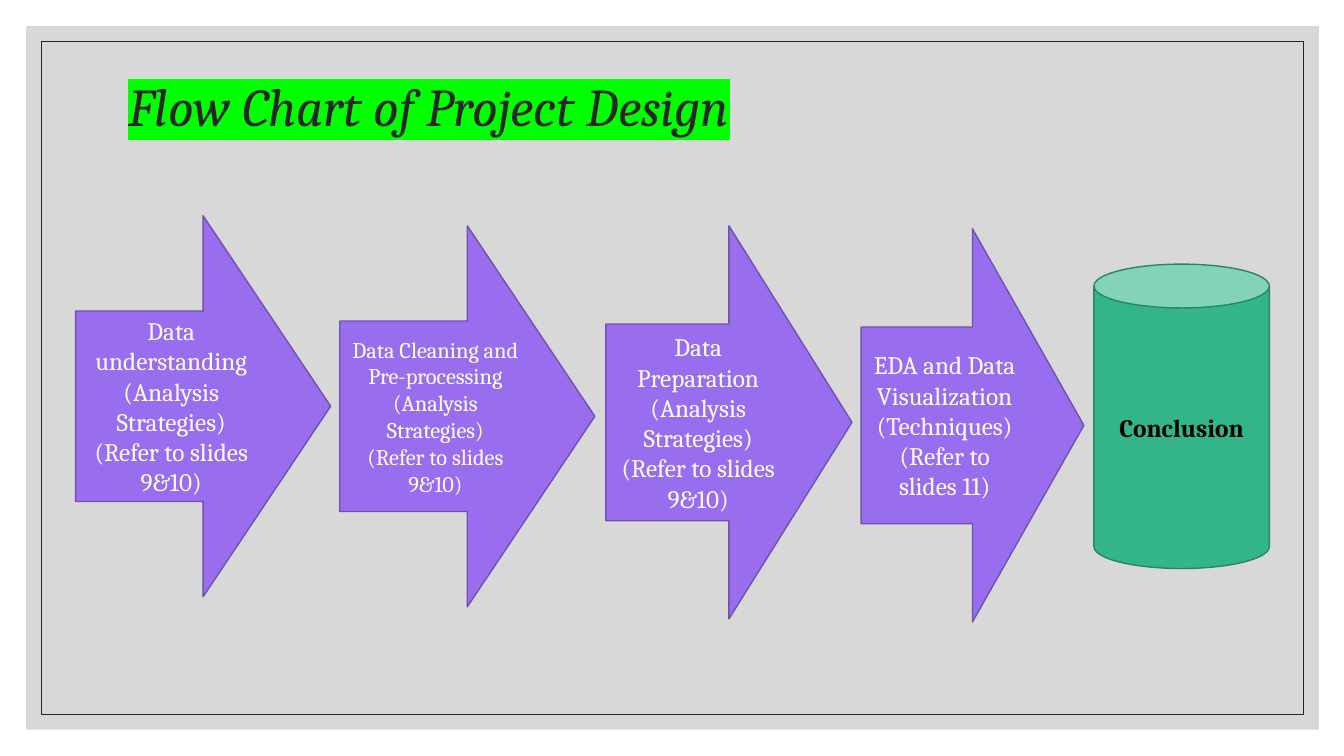
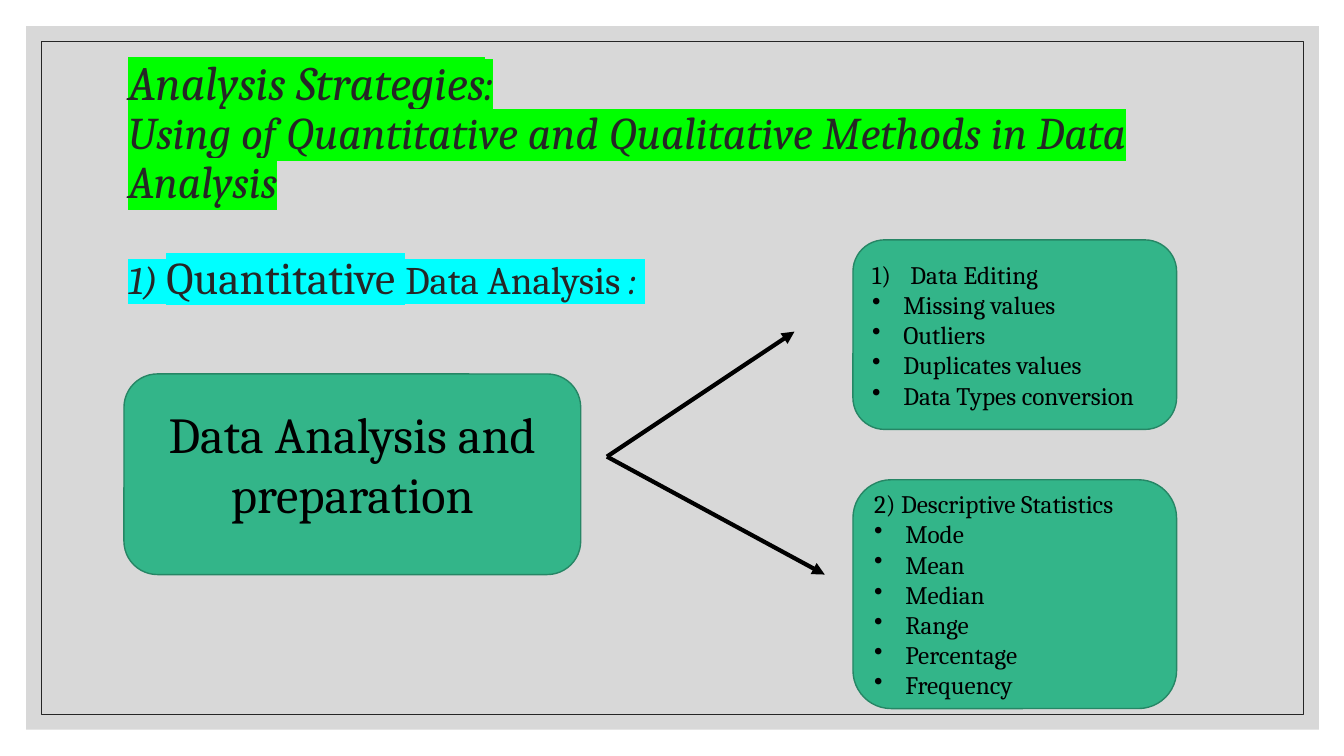
from lxml import etree
from pptx import Presentation
from pptx.dml.color import RGBColor
from pptx.enum.shapes import MSO_CONNECTOR, MSO_SHAPE
from pptx.enum.text import MSO_ANCHOR, MSO_AUTO_SIZE, PP_ALIGN
from pptx.oxml.ns import qn
from pptx.util import Inches, Pt

RECTANGLE = MSO_SHAPE.RECTANGLE
ROUNDED = MSO_SHAPE.ROUNDED_RECTANGLE
ARROW = MSO_SHAPE.RIGHT_ARROW
CAN = MSO_SHAPE.CAN
STRAIGHT = MSO_CONNECTOR.STRAIGHT
MIDDLE = MSO_ANCHOR.MIDDLE
LEFT, CENTER = PP_ALIGN.LEFT, PP_ALIGN.CENTER

FONT = "Cambria"
COLORS = {
    "panel": "BFBFBF",
    "ink": "262626",
    "purple": "986EEE",
    "purple_edge": "7051B0",
    "green": "33B589",
    "green_edge": "268665",
    "black": "000000",
    "white": "FFFFFF",
    "lime": "00FF00",
    "cyan": "00FFFF",
}
RGB = {name: RGBColor.from_string(value) for name, value in COLORS.items()}
BULLET = ("buChar", "char", "•", 0.31)
NUMBER = ("buAutoNum", "type", "arabicParenR", 0.38)


def add_box(slide, kind, place, fill=None, edge=None, edge_width=1):
    shape = slide.shapes.add_shape(kind, *[Inches(value) for value in place])
    shape.shadow.inherit = False
    if fill:
        shape.fill.solid()
        shape.fill.fore_color.rgb = RGB[fill]
    else:
        shape.fill.background()
    if edge:
        shape.line.color.rgb = RGB[edge]
        shape.line.width = Pt(edge_width)
    else:
        shape.line.fill.background()
    return shape


def write_lines(shape, lines, size, color, align=CENTER, bold=False):
    frame = shape.text_frame
    frame.word_wrap = True
    frame.vertical_anchor = MIDDLE
    for index, (text, marker) in enumerate(lines):
        paragraph = frame.paragraphs[0] if index == 0 else frame.add_paragraph()
        paragraph.text = text
        paragraph.alignment = align
        if marker:
            tag, attribute, value, indent = marker
            properties = paragraph._p.get_or_add_pPr()
            properties.set("marL", str(Inches(indent)))
            properties.set("indent", str(-Inches(indent)))
            etree.SubElement(properties, qn(f"a:{tag}")).set(attribute, value)
        paragraph.font.name = FONT
        paragraph.font.size = Pt(size)
        paragraph.font.bold = bold
        paragraph.font.color.rgb = RGB[color]


presentation = Presentation()
presentation.slide_width = Inches(13.33)
presentation.slide_height = Inches(7.5)
layout = presentation.slide_layouts[5]
flow_slide = presentation.slides.add_slide(layout)
strategy_slide = presentation.slides.add_slide(layout)

panel = add_box(flow_slide, RECTANGLE, (0.26, 0.26, 12.82, 6.98), "panel")
panel_color = panel._element.spPr.find(qn("a:solidFill"))[0]
etree.SubElement(panel_color, qn("a:alpha")).set("val", "60000")
border = add_box(flow_slide, RECTANGLE, (0.41, 0.41, 12.52, 6.68), None, "ink", 0.5)
for position, shape in enumerate((panel, border), start=2):
    layout.shapes._spTree.insert(position, shape._element)

titles = [
    (flow_slide, 0.7, 0.77, [
        (0, [("Flow Chart of Project Design", 38, True, "lime")]),
    ]),
    (strategy_slide, 0.55, 2.5, [
        (0, [("Analysis Strategies", 34.2, True, "lime"), (":", 32.4, True, "lime")]),
        (0, [("Using of Quantitative and Qualitative Methods in Data Analysis",
              32.4, True, "lime")]),
        (33, [("1) ", 27.9, True, "cyan"), ("Quantitative ", 32.4, False, "cyan"),
              ("Data Analysis ", 27.9, False, "cyan"), (": ", 27.9, True, "cyan")]),
    ]),
]
for slide, top, height, paragraphs in titles:
    title = slide.shapes.title
    title.left, title.top = Inches(1.17), Inches(top)
    title.width, title.height = Inches(11), Inches(height)
    frame = title.text_frame
    frame.word_wrap = True
    frame.auto_size = MSO_AUTO_SIZE.NONE
    frame.vertical_anchor = MIDDLE
    for index, (space_before, runs) in enumerate(paragraphs):
        paragraph = frame.paragraphs[0] if index == 0 else frame.add_paragraph()
        paragraph.alignment = LEFT
        paragraph.line_spacing = 0.9
        paragraph.space_before = Pt(space_before)
        paragraph.font.name = FONT
        paragraph.font.color.rgb = RGB["ink"]
        for text, size, italic, highlight in runs:
            run = paragraph.add_run()
            run.text = text
            run.font.size = Pt(size)
            run.font.italic = italic
            marking = etree.SubElement(run._r.get_or_add_rPr(), qn("a:highlight"))
            etree.SubElement(marking, qn("a:srgbClr")).set("val", COLORS[highlight])

steps = [
    ((0.75, 2.14, 2.53, 3.78), 18,
     ["Data understanding", "(Analysis Strategies)", "(Refer to slides 9&10)"]),
    ((3.37, 2.24, 2.53, 3.78), 16,
     ["Data Cleaning and Pre-processing", "(Analysis Strategies)", "(Refer to slides 9&10)"]),
    ((6.01, 2.24, 2.44, 3.9), 18,
     ["Data Preparation", "(Analysis Strategies)", "(Refer to slides 9&10)"]),
    ((8.54, 2.27, 2.21, 3.9), 18,
     ["EDA and Data Visualization", "(Techniques)", "(Refer to slides 11)"]),
]
for place, size, texts in steps:
    step = add_box(flow_slide, ARROW, place, "purple", "purple_edge")
    write_lines(step, [(text, None) for text in texts], size, "white")

conclusion = add_box(flow_slide, CAN, (10.85, 2.62, 1.74, 3.02), "green", "green_edge")
write_lines(conclusion, [("Conclusion", None)], 18, "black", bold=True)

preparation = add_box(strategy_slide, ROUNDED, (1.23, 3.71, 4.53, 1.99), "green", "green_edge")
write_lines(preparation, [("Data Analysis and preparation", None)], 36, "black")
preparation.text_frame.margin_bottom = Inches(0.27)

branches = [
    (2.38, 1.88, ("Data Editing", NUMBER),
     ["Missing values", "Outliers", "Duplicates values", "Data Types conversion"],
     (7.88, 3.29)),
    (4.76, 2.27, ("2) Descriptive Statistics", None),
     ["Mode", "Mean", "Median", "Range", "Percentage", "Frequency"],
     (8.18, 5.7)),
]
for top, height, heading, items, (end_x, end_y) in branches:
    branch = add_box(strategy_slide, ROUNDED, (8.46, top, 3.21, height), "green", "green_edge")
    write_lines(branch, [heading] + [(item, BULLET) for item in items], 18, "black", LEFT)
    connector = strategy_slide.shapes.add_connector(
        STRAIGHT, Inches(6.02), Inches(4.53), Inches(end_x), Inches(end_y))
    connector.line.color.rgb = RGB["black"]
    connector.line.width = Pt(3)
    etree.SubElement(connector.line._get_or_add_ln(), qn("a:tailEnd")).set("type", "triangle")
    etree.SubElement(connector._element.spPr, qn("a:effectLst"))

presentation.save("out.pptx")
